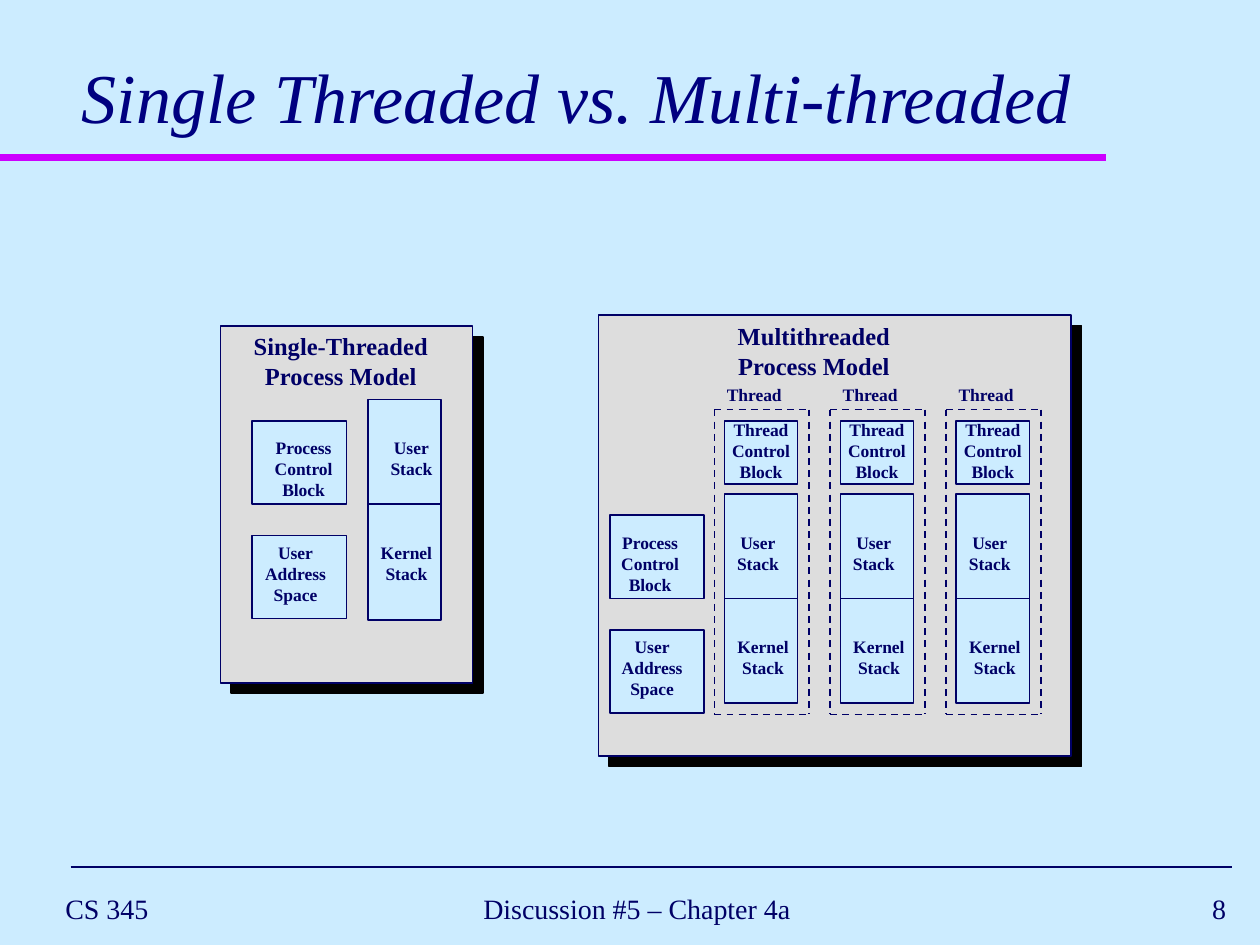
from lxml import etree
from pptx import Presentation
from pptx.dml.color import RGBColor
from pptx.enum.dml import MSO_LINE
from pptx.enum.shapes import MSO_CONNECTOR, MSO_SHAPE
from pptx.enum.text import MSO_ANCHOR, MSO_AUTO_SIZE, PP_ALIGN
from pptx.oxml.ns import qn
from pptx.util import Inches, Pt

RECTANGLE, STRAIGHT, DASH = MSO_SHAPE.RECTANGLE, MSO_CONNECTOR.STRAIGHT, MSO_LINE.DASH
LEFT, CENTER, RIGHT = PP_ALIGN.LEFT, PP_ALIGN.CENTER, PP_ALIGN.RIGHT
BOTTOM, MIDDLE, TOP = MSO_ANCHOR.BOTTOM, MSO_ANCHOR.MIDDLE, MSO_ANCHOR.TOP
FIT_SHAPE, NO_FIT = MSO_AUTO_SIZE.SHAPE_TO_FIT_TEXT, MSO_AUTO_SIZE.NONE

THEME = {
    "font": "Times New Roman",
    "sky": "CCECFF", "panel": "DDDDDD", "navy": "000066",
    "title": "000080", "accent": "CC00FF", "shadow": "000000",
    "title_size": 40, "footer_size": 16, "heading_size": 14, "label_size": 10,
}

# Content: positions are inches (left, top, width, height)
TITLE = "Single Threaded vs. Multi-threaded"
FOOTERS = [
    ("CS 345", (0.42, 7, 2.67, 0.42), LEFT),
    ("Discussion #5 – Chapter 4a", (3.07, 7, 3.97, 0.42), CENTER),
    ("8", (7.75, 7, 2.08, 0.42), RIGHT),
]
RULES = [  # start, end, colour, weight
    ((0, 1.25), (8.78, 1.25), "accent", 4),
    ((0.56, 6.88), (9.78, 6.88), "navy", 1),
]
PANELS = [(1.75, 2.59, 2, 2.83), (4.75, 2.5, 3.75, 3.5)]
HEADINGS = [
    ("Single-Threaded\nProcess Model", (1.91, 2.58, 1.59, 0.57)),
    ("Multithreaded\nProcess Model", (5.75, 2.5, 1.42, 0.57)),
]
PROCESS_BLOCK = "Process\nControl\nBlock"
ADDRESS_SPACE = "User\nAddress\nSpace"
THREAD_BLOCK = "Thread\nControl\nBlock"
USER_STACK = "User\nStack"
KERNEL_STACK = "Kernel\nStack"
LABEL_SIZES = {
    PROCESS_BLOCK: (0.66, 0.6), ADDRESS_SPACE: (0.69, 0.6), THREAD_BLOCK: (0.66, 0.6),
    USER_STACK: (0.53, 0.44), KERNEL_STACK: (0.61, 0.44), "Thread": (0.64, 0.27),
}
PROCESS_BOXES = [  # box left, box top, label, label left, label top
    (2, 3.34, PROCESS_BLOCK, 2.08, 3.42),
    (2, 4.25, ADDRESS_SPACE, 2, 4.25),
    (4.84, 4.09, PROCESS_BLOCK, 4.83, 4.17),
    (4.84, 5, ADDRESS_SPACE, 4.83, 5),
]
BOX_WIDTH, BOX_HEIGHT, STACK_WIDTH = 0.75, 0.66, 0.58
THREAD_COUNT, FIRST_THREAD, THREAD_PITCH = 3, 5.67, 0.92
FRAME_TOP, FRAME_BOTTOM, FRAME_WIDTH = 3.25, 5.67, 0.75

prs = Presentation()
prs.slide_width, prs.slide_height = Inches(10), Inches(7.5)
slide = prs.slides.add_slide(prs.slide_layouts[5])


def colour(key):
    return RGBColor.from_string(THEME[key])


def write(shape, text, size, align=CENTER, key="navy", bold=False, italic=False, anchor=TOP):
    frame = shape.text_frame
    frame.text = text
    frame.vertical_anchor = anchor
    for paragraph in frame.paragraphs:
        paragraph.alignment = align
        for run in paragraph.runs:
            font = run.font
            font.name, font.size = THEME["font"], Pt(THEME[size])
            font.bold, font.italic = bold, italic
            font.color.rgb = colour(key)


def add_text(text, area, size):
    box = slide.shapes.add_textbox(*map(Inches, area))
    box.text_frame.word_wrap = False
    box.text_frame.auto_size = FIT_SHAPE
    align = LEFT if text == "Thread" else CENTER
    write(box, text, size, align, bold=True)


def add_label(text, left, top):
    add_text(text, (left, top, *LABEL_SIZES[text]), "label_size")


def add_box(area, fill="sky"):
    box = slide.shapes.add_shape(RECTANGLE, *map(Inches, area))
    box.shadow.inherit = False
    box.fill.solid()
    box.fill.fore_color.rgb = colour(fill)
    box.line.color.rgb = colour("navy")
    box.line.width = Pt(1)
    return box


def add_line(start, end, key="navy", weight=1, dash=None):
    line = slide.shapes.add_connector(STRAIGHT, *map(Inches, (*start, *end)))
    line.line.color.rgb = colour(key)
    line.line.width = Pt(weight)
    if dash:
        line.line.dash_style = dash
    etree.SubElement(line._element.spPr, qn("a:effectLst"))


def add_panel(area):
    effects = add_box(area, "panel")._element.spPr.find(qn("a:effectLst"))
    shadow = etree.SubElement(effects, qn("a:outerShdw"), dist=str(Pt(8.5)),
                              dir="2700000", algn="ctr", rotWithShape="0")
    etree.SubElement(shadow, qn("a:srgbClr"), val=THEME["shadow"])


def add_stack(left, top, split, height):
    add_box((left, top, STACK_WIDTH, height))
    add_line((left, split), (left + STACK_WIDTH, split))


def add_thread(left):
    inner, right = left + 0.08, left + FRAME_WIDTH
    add_stack(inner, 3.92, 4.75, 1.66)
    add_box((inner, 3.34, STACK_WIDTH, 0.5))
    for y in (FRAME_TOP, FRAME_BOTTOM):
        add_line((left, y), (right, y), dash=DASH)
    for x in (left, right):
        add_line((x, FRAME_TOP), (x, FRAME_BOTTOM), dash=DASH)
    add_label("Thread", left, 3)
    add_label(THREAD_BLOCK, left + 0.04, 3.28)
    add_label(USER_STACK, inner, 4.17)
    add_label(KERNEL_STACK, inner, 5)


# Background, rules and footer
slide.background.fill.solid()
slide.background.fill.fore_color.rgb = colour("sky")
for rule in RULES:
    add_line(*rule)
for text, area, align in FOOTERS:
    footer = slide.shapes.add_textbox(*map(Inches, area))
    footer.text_frame.word_wrap = True
    write(footer, text, "footer_size", align, anchor=MIDDLE)

# Title
title = slide.shapes.title
title.left, title.top, title.width, title.height = map(Inches, (0.55, 0.23, 8.31, 0.91))
title.text_frame.auto_size = NO_FIT
write(title, TITLE, "title_size", LEFT, "title", italic=True, anchor=BOTTOM)

# Process panels and their shared parts
for panel in PANELS:
    add_panel(panel)
for text, area in HEADINGS:
    add_text(text, area, "heading_size")
for left, top, text, label_left, label_top in PROCESS_BOXES:
    add_box((left, top, BOX_WIDTH, BOX_HEIGHT))
    add_label(text, label_left, label_top)

# Single thread's stack
add_stack(2.92, 3.17, 4, 1.75)
add_label(USER_STACK, 3, 3.42)
add_label(KERNEL_STACK, 2.92, 4.25)

# Repeated threads
for index in range(THREAD_COUNT):
    add_thread(FIRST_THREAD + index * THREAD_PITCH)

prs.save("out.pptx")
